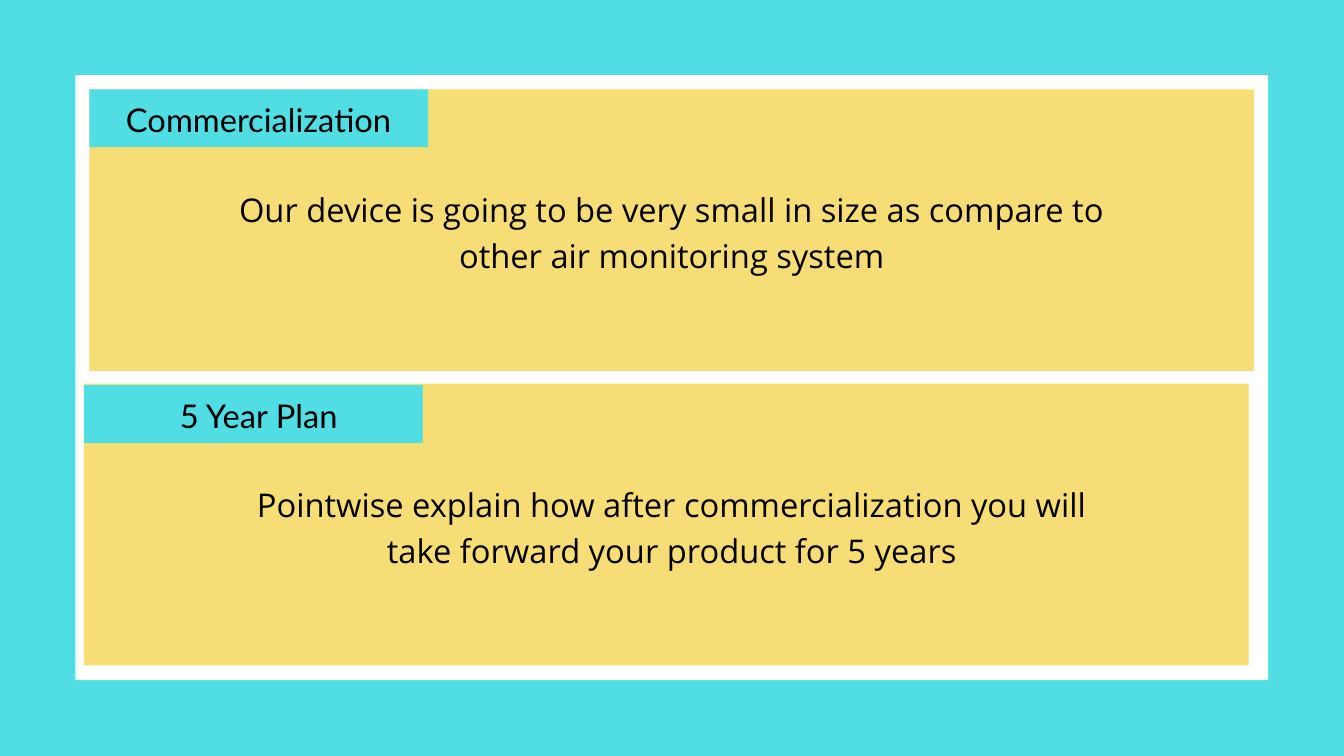
from dataclasses import dataclass

from pptx import Presentation
from pptx.dml.color import RGBColor
from pptx.enum.shapes import MSO_SHAPE as Shape
from pptx.enum.text import PP_ALIGN as Align
from pptx.slide import Slide
from pptx.util import Inches, Pt

COLORS = {"cyan": "50DEE4", "white": "FFFFFF", "yellow": "F6DD76", "black": "000000"}
PANEL_W, PANEL_H = 17.33, 4.19
TAG_W, TAG_H = 5.04, 0.86
TITLE_X, TITLE_H = 1.33, 0.66
BODY_X, BODY_W = 3.41, 13.18


@dataclass
class Section:
    title: str
    body: str
    left: float
    top: float
    tag_top: float
    body_top: float
    body_h: float


SECTIONS = [
    Section(
        "Commercialization",
        "Our device is going to be very small in size as compare to other air monitoring system",
        1.33, 1.33, 1.33, 2.73, 2.06,
    ),
    Section(
        "5 Year Plan",
        "Pointwise explain how after commercialization you will take forward "
        "your product for 5 years",
        1.25, 5.71, 5.73, 7.12, 1.33,
    ),
]


def add_rect(s: Slide, x: float, y: float, w: float, h: float, color: str) -> None:
    sp = s.shapes.add_shape(Shape.RECTANGLE, Inches(x), Inches(y), Inches(w), Inches(h))
    sp.shadow.inherit = False
    sp.fill.solid()
    sp.fill.fore_color.rgb = RGBColor.from_string(COLORS[color])
    sp.line.fill.background()


def add_text(s: Slide, text: str, x: float, y: float, w: float, h: float, font: str) -> None:
    tf = s.shapes.add_textbox(Inches(x), Inches(y), Inches(w), Inches(h)).text_frame
    frame_format = {"word_wrap": True, "margin_left": 0, "margin_right": 0,
                    "margin_top": 0, "margin_bottom": 0}
    for name, value in frame_format.items():
        setattr(tf, name, value)
    p = tf.paragraphs[0]
    for name, value in {"alignment": Align.CENTER, "line_spacing": Pt(49)}.items():
        setattr(p, name, value)
    r = p.add_run()
    r.text = text
    for name, value in {"name": font, "size": Pt(35)}.items():
        setattr(r.font, name, value)
    r.font.color.rgb = RGBColor.from_string(COLORS["black"])


def add_section(s: Slide, sec: Section) -> None:
    add_rect(s, sec.left, sec.top, PANEL_W, PANEL_H, "yellow")
    add_rect(s, sec.left, sec.tag_top, TAG_W, TAG_H, "cyan")
    add_text(s, sec.title, TITLE_X, sec.tag_top + 0.06, TAG_W, TITLE_H, "Lato")
    add_text(s, sec.body, BODY_X, sec.body_top, BODY_W, sec.body_h, "Open Sans")


def main() -> None:
    prs = Presentation()
    prs.slide_width, prs.slide_height = Inches(20), Inches(11.25)
    s = prs.slides.add_slide(prs.slide_layouts[6])
    s.background.fill.solid()
    s.background.fill.fore_color.rgb = RGBColor.from_string(COLORS["cyan"])
    add_rect(s, 1.12, 1.12, 17.75, 9, "white")
    for sec in SECTIONS:
        add_section(s, sec)
    prs.save("out.pptx")


if __name__ == "__main__":
    main()
